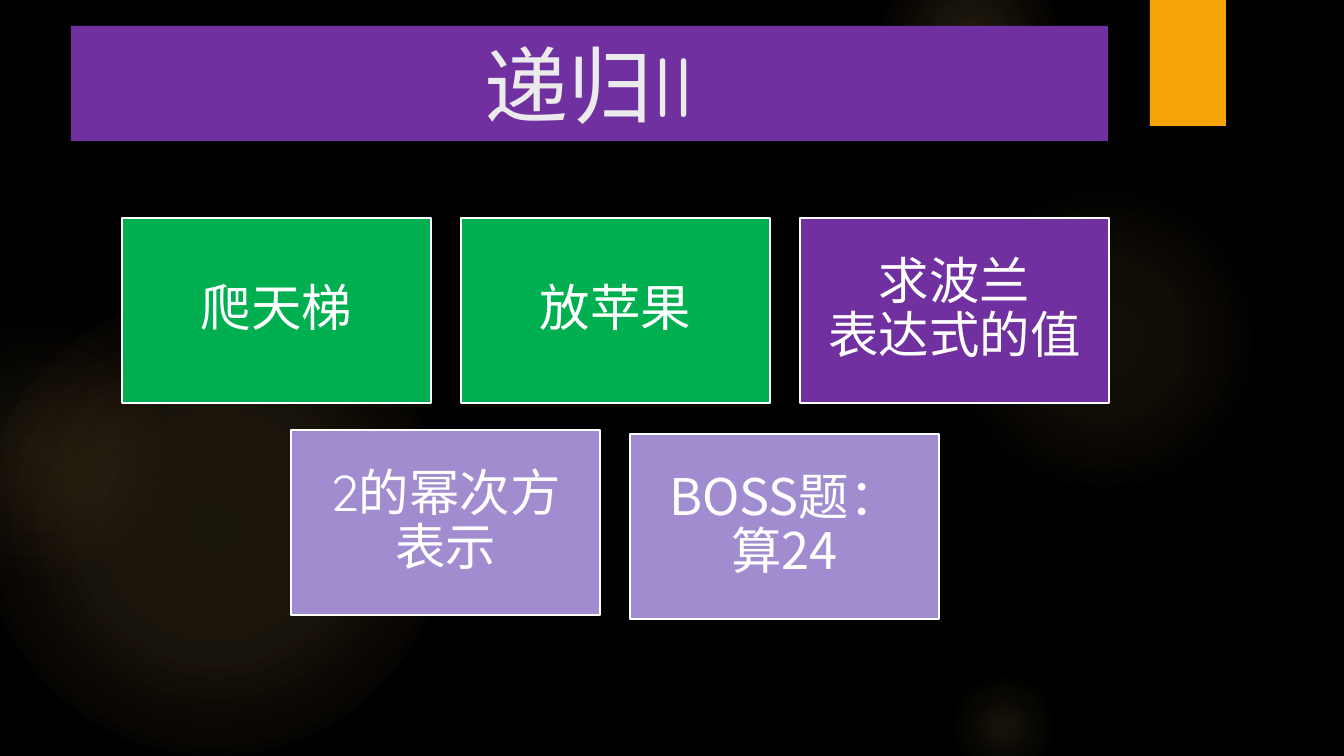
from lxml import etree
from pptx import Presentation
from pptx.dml.color import RGBColor
from pptx.enum import shapes, text
from pptx.oxml import ns, parse_xml
from pptx.util import Pt

PX = 914400 / 100.8
BLACK = RGBColor(0x00, 0x00, 0x00)
WHITE = RGBColor(0xFF, 0xFF, 0xFF)
PALE = RGBColor(0xEB, 0xEB, 0xEB)
GOLD = RGBColor(0xFA, 0xC9, 0x6A)
CORAL = RGBColor(0xF5, 0x9B, 0x74)
AMBER = RGBColor(0xF5, 0xA4, 0x08)
PURPLE = RGBColor(0x70, 0x30, 0xA0)
GREEN = RGBColor(0x00, 0xB0, 0x50)
LILAC = RGBColor(0xA1, 0x8C, 0xD0)
SANS, ROUND = "Noto Sans CJK SC", "Quicksand"

TITLE = "递归II"
# left, top, size, then (position %, colour, opacity %) stops
GLOWS = [
    (-17, 294, 462, [(0, GOLD, 11), (36, GOLD, 10), (75, GOLD, 0)]),
    (-93, 320, 260, [(0, GOLD, 8), (36, GOLD, 5), (71, CORAL, 0)]),
    (949, 184, 310, [(0, GOLD, 7), (36, GOLD, 6), (69, GOLD, 0)]),
    (882, -50, 176, [(0, GOLD, 14), (36, GOLD, 7), (73, GOLD, 0)]),
    (949, 672, 109, [(0, GOLD, 10), (31, GOLD, 5), (66, GOLD, 0)]),
]
# row left, then cards as (top, fill, runs)
ROWS = [
    (122, [(218, GREEN, [("爬天梯", SANS)]),
           (218, GREEN, [("放苹果", SANS)]),
           (218, PURPLE, [("求波兰\n表达式的值", SANS)])]),
    (291, [(430, LILAC, [("2", ROUND), ("的幂次方表示", SANS)]),
           (434, LILAC, [("BOSS题：算24", SANS)])]),
]
CARD_W, CARD_H, STEP, INSET = 309, 185, 339, 15


def px(n):
    return round(n * PX)


def shape(kind, x, y, w, h, fill=None):
    s = slide.shapes.add_shape(kind, px(x), px(y), px(w), px(h))
    s.shadow.inherit = False
    s.line.fill.background()
    if fill is not None:
        s.fill.solid()
        s.fill.fore_color.rgb = fill
    return s


def glow(x, y, size, stops):
    """Circle that fades out from its centre."""
    s = shape(shapes.MSO_SHAPE.OVAL, x, y, size, size)
    s.fill.background()
    marks = "".join(
        f'<a:gs pos="{pos * 1000}"><a:srgbClr val="{col}">'
        f'<a:alpha val="{op * 1000}"/></a:srgbClr></a:gs>'
        for pos, col, op in stops)
    grad = parse_xml(
        f'<a:gradFill {ns.nsdecls("a")} rotWithShape="1"><a:gsLst>{marks}</a:gsLst>'
        '<a:path path="circle"><a:fillToRect l="50000" t="50000" r="50000" b="50000"/>'
        '</a:path></a:gradFill>')
    props = s._element.spPr
    props.replace(props.find(ns.qn("a:noFill")), grad)


def write(frame, runs, size, color, inset=None, spacing=None):
    frame.word_wrap = True
    frame.vertical_anchor = text.MSO_ANCHOR.MIDDLE
    if inset is not None:
        frame.margin_left = frame.margin_right = px(inset)
        frame.margin_top = frame.margin_bottom = px(inset)
    para = frame.paragraphs[0]
    para.alignment = text.PP_ALIGN.CENTER
    para.line_spacing = spacing
    for words, face in runs:
        for i, line in enumerate(words.split("\n")):
            if i:
                para.add_line_break()
            run = para.add_run()
            run.text = line
            font = run.font
            font.size, font.name = Pt(size), face
            font.color.rgb = color
            east = etree.SubElement(run._r.get_or_add_rPr(), ns.qn("a:ea"))
            east.set("typeface", SANS)


deck = Presentation()
deck.slide_width, deck.slide_height = px(1344), px(756)
slide = deck.slides.add_slide(deck.slide_layouts[5])
slide.background.fill.solid()
slide.background.fill.fore_color.rgb = BLACK

for spot in GLOWS:
    glow(*spot)
shape(shapes.MSO_SHAPE.RECTANGLE, 1150, 0, 76, 126, AMBER)

title = slide.shapes.title
title.left, title.top, title.width, title.height = map(px, (71, 26, 1037, 115))
title.fill.solid()
title.fill.fore_color.rgb = PURPLE
write(title.text_frame, [(TITLE, ROUND)], 60, PALE)
slide.shapes._spTree.append(title._element)  # in front of the glows

for left, cards in ROWS:
    for col, (top, fill, runs) in enumerate(cards):
        card = shape(shapes.MSO_SHAPE.RECTANGLE, left + col * STEP, top,
                     CARD_W, CARD_H, fill)
        card.line.color.rgb = WHITE
        card.line.width = Pt(1.5)
        write(card.text_frame, runs, 36, WHITE, inset=INSET, spacing=0.9)

deck.save("out.pptx")
